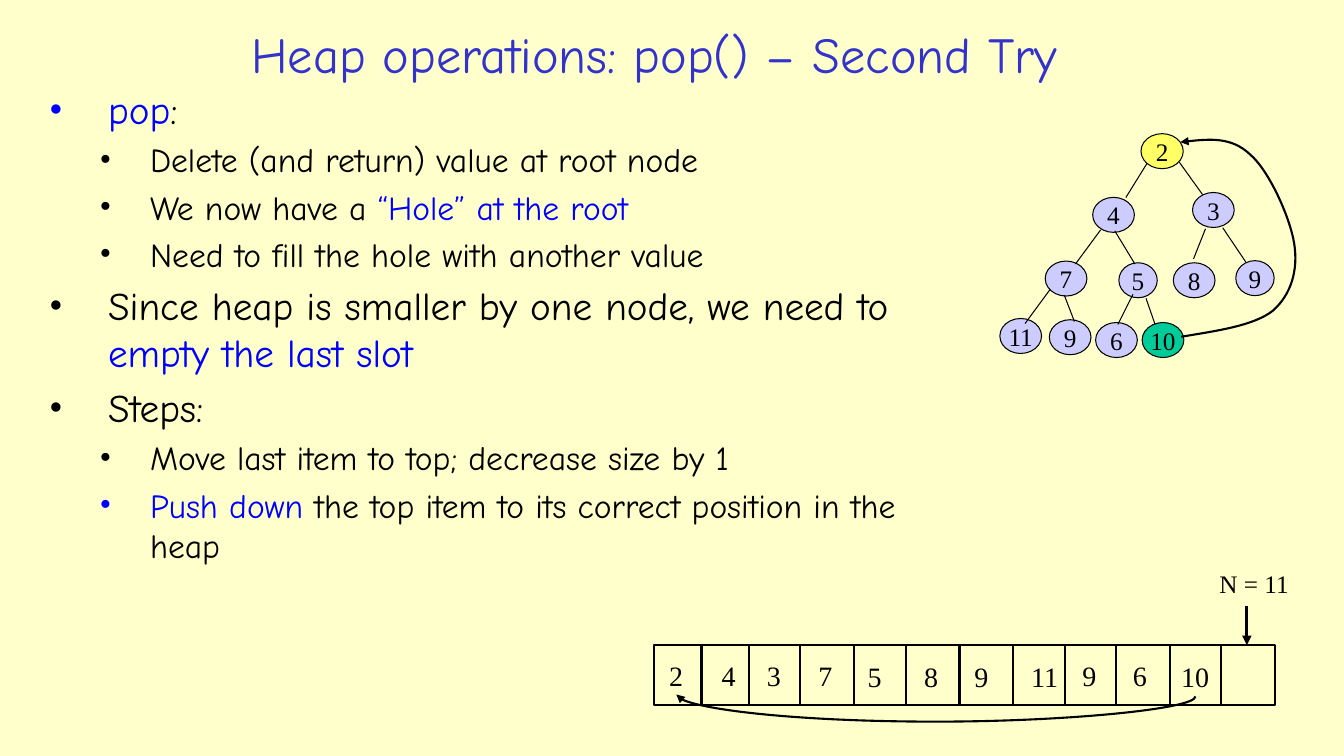
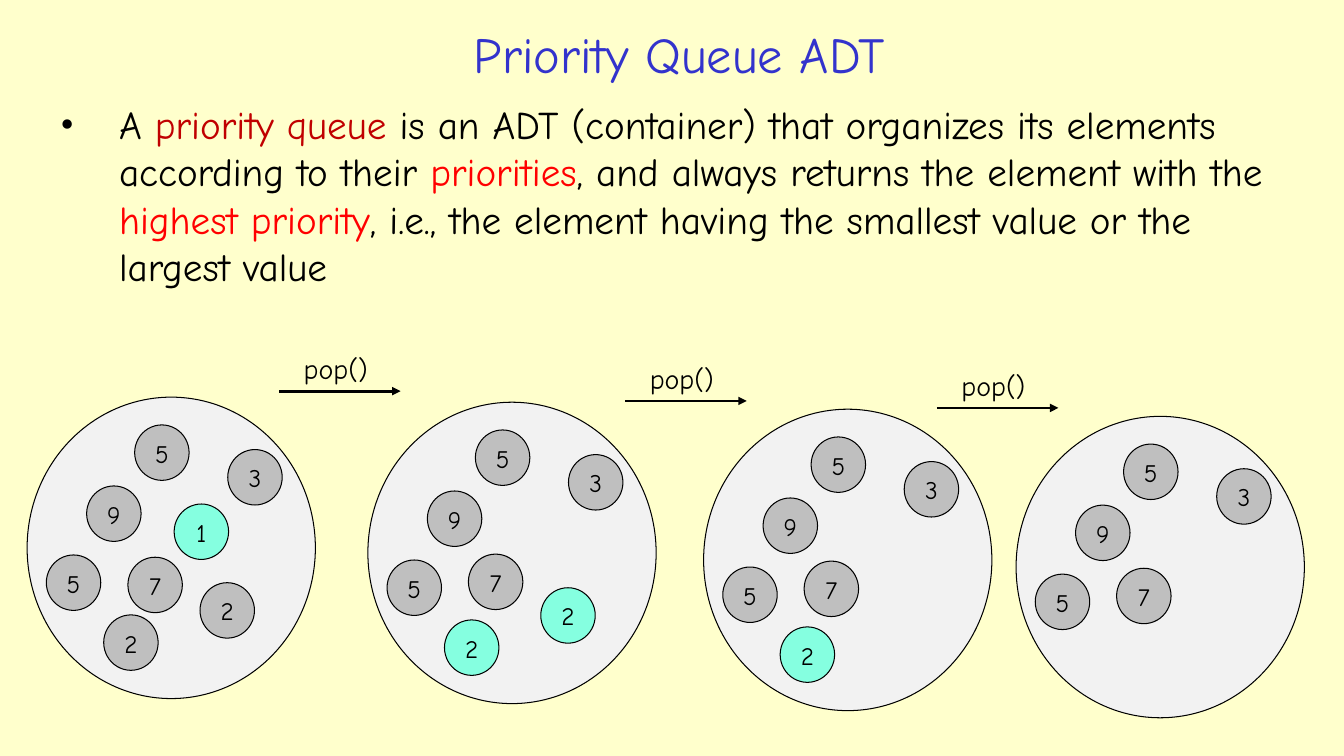
"""Build two lecture slides on heap pop() and the priority queue ADT."""
from dataclasses import dataclass

import lxml.etree
import pptx
import pptx.dml.color
import pptx.enum.shapes
import pptx.enum.text
import pptx.oxml.ns
import pptx.shapes.base
import pptx.slide
import pptx.text.text
import pptx.util

COMIC, TIMES = "Comic Neue", "Times New Roman"
CREAM, INDIGO, BLACK, BLUE = "FFFFCC", "3333CC", "000000", "0000FF"
DARK_RED, RED = "C00000", "FF0000"
LILAC, YELLOW, GREEN = "CCCCFF", "FFFF66", "00CC99"
PALE, GREY, TEAL = "F2F2F2", "BFBFBF", "85FFE0"
CENTER = pptx.enum.text.PP_ALIGN.CENTER
MIDDLE = pptx.enum.text.MSO_ANCHOR.MIDDLE
TOP = pptx.enum.text.MSO_ANCHOR.TOP
ELLIPSE = pptx.enum.shapes.MSO_SHAPE.OVAL
RECTANGLE = pptx.enum.shapes.MSO_SHAPE.RECTANGLE
Point = tuple[float, float]


@dataclass(frozen=True)
class Box:
    left: float
    top: float
    width: float
    height: float

    def emu(self) -> list[pptx.util.Pt]:
        return [pptx.util.Pt(n) for n in (self.left, self.top, self.width, self.height)]


@dataclass(frozen=True)
class Words:
    text: str
    color: str = BLACK


@dataclass(frozen=True)
class Bullet:
    words: tuple[Words, ...]
    level: int = 0


@dataclass(frozen=True)
class BulletStyle:
    size: float
    margin: float
    hanging: float


@dataclass(frozen=True)
class Node:
    value: str
    left: float
    top: float
    width: float = 29.8
    fill: str = LILAC


@dataclass(frozen=True)
class Slot:
    value: str
    left: float
    top: float = 466.6


@dataclass(frozen=True)
class Ball:
    value: str
    right: float
    down: float


@dataclass(frozen=True)
class Queue:
    left: float
    top: float
    balls: tuple[Ball, ...]
    popped: str = ""


BULLET_STYLES = (BulletStyle(28, 42, 42), BulletStyle(24, 72, 36))
POP_NOTES = (
    Bullet((Words("pop", BLUE), Words(":"))),
    Bullet((Words("Delete (and return) value at root node"),), 1),
    Bullet((Words("We now have a "), Words("“Hole” at the root", BLUE)), 1),
    Bullet((Words("Need to fill the hole with another value"),), 1),
    Bullet((Words("Since heap is smaller by one node, we need to "),
            Words("empty the last slot", BLUE))),
    Bullet((Words("Steps:"),)),
    Bullet((Words("Move last item to top; decrease size by 1"),), 1),
    Bullet((Words("Push down ", BLUE),
            Words("the top item to its correct position in the heap")), 1),
)
QUEUE_NOTES = (
    Bullet((Words("A "), Words("priority queue ", DARK_RED),
            Words("is an ADT (container) that organizes its elements according to their "),
            Words("priorities", RED),
            Words(", and always returns the element with the "),
            Words("highest priority", RED),
            Words(", i.e., the element having the smallest value or the largest value"))),
)

HEAP = (
    Node("2", 815, 95.5, 30.2, YELLOW),
    Node("4", 780.5, 141), Node("3", 851.8, 137.5),
    Node("7", 746.6, 186.5), Node("5", 799.2, 187.7, 27.4),
    Node("8", 838.1, 187.7), Node("9", 882.7, 186.2, 27.4),
    Node("11", 714.2, 227.5), Node("9", 749.5, 228.4),
    Node("6", 782.6, 230.4), Node("10", 815.8, 230.4, fill=GREEN),
)
HEAP_EDGES = (
    ((819.4, 116.6), (804.2, 141.1)), ((842.4, 115.9), (859, 139)),
    ((786.2, 164.2), (768.2, 188.6)), ((796.3, 164.9), (810.7, 188.6)),
    ((861.1, 163.4), (852.5, 185)), ((873.4, 162.7), (889.9, 187.2)),
    ((750.2, 206.6), (732.2, 231.1)), ((760.3, 211), (767.5, 229.7)),
    ((809.3, 210.2), (798.5, 231.8)), ((818.6, 213.1), (825.1, 231.8)),
)
LAST_TO_ROOT = (
    (843.8, 240.5), (869.8, 236.2), (895.7, 232.6), (909.4, 221.8),
    (922.3, 210.2), (927.4, 193), (924.5, 174.2),
    (921.6, 155.5), (906.5, 121.7), (892.8, 110.2),
    (879.8, 97.9), (861.1, 99.4), (843.1, 101.5),
)
LAST_TO_FIRST = (
    (853.9, 497.5), (853.9, 506.5), (761, 515.5), (668.5, 515.5),
    (575.5, 515.5), (483.1, 505.8), (483.1, 496.1),
)
ARRAY = Box(467.3, 460.8, 443.5, 42.5)
DIVIDERS = (501.1, 535, 571.7, 609.8, 647.3, 685.4, 723.6, 761, 797, 835.9, 871.9)
SLOTS = (
    Slot("2", 470.9), Slot("4", 508.3), Slot("3", 540.7), Slot("7", 577.4),
    Slot("5", 612.7, 467.6), Slot("8", 653, 467.6), Slot("9", 689, 467.6),
    Slot("11", 729.4, 467.6), Slot("9", 766.1), Slot("6", 802.1),
    Slot("10", 836.6, 467.6),
)

STAYING = (Ball("9", 42.5, 63.4), Ball("5", 76.8, 19.8),
           Ball("5", 13.7, 112.7), Ball("3", 143.3, 37.4))
SEVEN = Ball("7", 71.8, 108.5)
LOWER_TWO, RIGHT_TWO = Ball("2", 54.7, 155.5), Ball("2", 123.5, 132.5)
QUEUES = (
    Queue(19.4, 283.7, STAYING + (Ball("7", 72, 114.3), Ball("1", 105, 76.3),
                                  RIGHT_TWO, LOWER_TWO), "1"),
    Queue(262.8, 287.3, STAYING + (SEVEN, RIGHT_TWO, LOWER_TWO), "2"),
    Queue(502.6, 292.3, STAYING + (SEVEN, LOWER_TWO), "2"),
    Queue(725.8, 297.4, STAYING + (SEVEN,)),
)
POP_ARROWS = ((199.4, 279.4), (446.6, 286.4), (669.2, 291.4))


def color(code: str) -> pptx.dml.color.RGBColor:
    return pptx.dml.color.RGBColor.from_string(code)


def add_tag(parent: lxml.etree._Element, tag: str, **attributes: str) -> lxml.etree._Element:
    return lxml.etree.SubElement(parent, pptx.oxml.ns.qn(tag), attributes)


def add_words(paragraph: pptx.text.text._Paragraph, words: Words, size: float,
              face: str) -> None:
    run = paragraph.add_run()
    run.text = words.text
    run.font.size = pptx.util.Pt(size)
    run.font.name = face
    run.font.color.rgb = color(words.color)


def add_label(slide: pptx.slide.Slide, box: Box, words: Words, size: float, face: str,
              wrap: bool = False) -> pptx.text.text.TextFrame:
    frame = slide.shapes.add_textbox(*box.emu()).text_frame
    frame.word_wrap = wrap
    add_words(frame.paragraphs[0], words, size, face)
    return frame


def style_stroke(shape: pptx.shapes.base.BaseShape, width: float, arrow: bool) -> None:
    shape.line.color.rgb = color(BLACK)
    shape.line.width = pptx.util.Pt(width)
    if arrow:
        stroke = shape.element.spPr.find(pptx.oxml.ns.qn("a:ln"))
        add_tag(stroke, "a:tailEnd", type="triangle")


def add_line(slide: pptx.slide.Slide, start: Point, end: Point, width: float,
             arrow: bool = False) -> None:
    ends = [pptx.util.Pt(n) for n in (*start, *end)]
    line = slide.shapes.add_connector(pptx.enum.shapes.MSO_CONNECTOR.STRAIGHT, *ends)
    style_stroke(line, width, arrow)
    add_tag(line.element.spPr, "a:effectLst")


def add_curved_arrow(slide: pptx.slide.Slide, points: tuple[Point, ...]) -> None:
    start, *others = [(pptx.util.Pt(x), pptx.util.Pt(y)) for x, y in points]
    builder = slide.shapes.build_freeform(*start)
    builder.add_line_segments(others, close=False)
    arrow = builder.convert_to_shape()
    arrow.shadow.inherit = False
    arrow.fill.background()
    style_stroke(arrow, 1.5, True)
    outline = arrow.element.find(".//" + pptx.oxml.ns.qn("a:path"))
    steps = outline.findall(pptx.oxml.ns.qn("a:lnTo"))
    for first in range(0, len(steps), 3):
        curve = add_tag(outline, "a:cubicBezTo")
        for step in steps[first:first + 3]:
            curve.append(step[0])
            outline.remove(step)


def add_figure(slide: pptx.slide.Slide, kind: pptx.enum.shapes.MSO_SHAPE, box: Box,
               fill: str = "", width: float = 0.75, value: str = "", face: str = COMIC,
               anchor: pptx.enum.text.MSO_ANCHOR = TOP, wrap: bool = True) -> None:
    figure = slide.shapes.add_shape(kind, *box.emu())
    figure.shadow.inherit = False
    if fill:
        figure.fill.solid()
        figure.fill.fore_color.rgb = color(fill)
    else:
        figure.fill.background()
    style_stroke(figure, width, False)
    if value:
        frame = figure.text_frame
        frame.word_wrap = wrap
        frame.vertical_anchor = anchor
        frame.paragraphs[0].alignment = CENTER
        add_words(frame.paragraphs[0], Words(value), 18, face)


def add_bullets(slide: pptx.slide.Slide, box: Box, bullets: tuple[Bullet, ...]) -> None:
    frame = slide.shapes.add_textbox(*box.emu()).text_frame
    frame.word_wrap = True
    for index, bullet in enumerate(bullets):
        paragraph = frame.add_paragraph() if index else frame.paragraphs[0]
        style = BULLET_STYLES[bullet.level]
        paragraph.level = bullet.level
        paragraph.space_before = pptx.util.Pt(0.2 * style.size)
        settings = paragraph._p.get_or_add_pPr()
        settings.set("marL", str(pptx.util.Pt(style.margin)))
        settings.set("indent", str(-pptx.util.Pt(style.hanging)))
        add_tag(settings, "a:buFont", typeface=TIMES)
        add_tag(settings, "a:buChar", char="•")
        for words in bullet.words:
            add_words(paragraph, words, style.size, COMIC)


def add_titled_slide(deck: pptx.presentation.Presentation, title: str, left: float,
                     width: float) -> pptx.slide.Slide:
    slide = deck.slides.add_slide(deck.slide_layouts[6])
    frame = add_label(slide, Box(left, 10.8, width, 54.7), Words(title, INDIGO), 36, COMIC, True)
    frame.vertical_anchor = MIDDLE
    frame.paragraphs[0].alignment = CENTER
    return slide


def build_heap_slide(deck: pptx.presentation.Presentation) -> None:
    slide = add_titled_slide(deck, "Heap operations: pop() – Second Try", 32.4, 869.8)
    add_bullets(slide, Box(28.1, 57.6, 654.5, 375.1), POP_NOTES)
    for node in HEAP:
        add_figure(slide, ELLIPSE, Box(node.left, node.top, node.width, 25), node.fill,
                   value=node.value, face=TIMES, anchor=MIDDLE, wrap=False)
    for parent, child in HEAP_EDGES:
        add_line(slide, parent, child, 0.75)
    add_curved_arrow(slide, LAST_TO_ROOT)
    add_figure(slide, RECTANGLE, ARRAY, width=1.5)
    for x in DIVIDERS:
        add_line(slide, (x, ARRAY.top), (x, ARRAY.top + ARRAY.height), 1.5)
    for slot in SLOTS:
        box = Box(slot.left, slot.top, 14.4 + 10 * len(slot.value), 31)
        add_label(slide, box, Words(slot.value), 20, TIMES)
    add_curved_arrow(slide, LAST_TO_FIRST)
    add_line(slide, (890.6, 432.7), (890.6, ARRAY.top), 2.25, True)
    add_label(slide, Box(864, 402.5, 64.8, 28.8), Words("N = 11"), 18, TIMES)


def build_queue_slide(deck: pptx.presentation.Presentation) -> None:
    slide = add_titled_slide(deck, "Priority Queue ADT", 141.8, 686.9)
    add_bullets(slide, Box(36, 68.4, 889.9, 150.5), QUEUE_NOTES)
    for queue in QUEUES:
        add_figure(slide, ELLIPSE, Box(queue.left, queue.top, 205.9, 215.3), PALE)
        for ball in queue.balls:
            box = Box(queue.left + ball.right, queue.top + ball.down, 38.9, 39.6)
            fill = TEAL if ball.value == queue.popped else GREY
            add_figure(slide, ELLIPSE, box, fill, value=ball.value)
    for x, y in POP_ARROWS:
        add_line(slide, (x, y), (x + 86.8, y), 2, True)
        add_label(slide, Box(x + 10.5, y - 32, 67, 31.7), Words("pop()"), 20, COMIC, True)


def main() -> None:
    deck = pptx.Presentation()
    deck.slide_width, deck.slide_height = pptx.util.Pt(960), pptx.util.Pt(540)
    backdrop = deck.slide_master.background.fill
    backdrop.solid()
    backdrop.fore_color.rgb = color(CREAM)
    build_heap_slide(deck)
    build_queue_slide(deck)
    deck.save("out.pptx")


if __name__ == "__main__":
    main()
